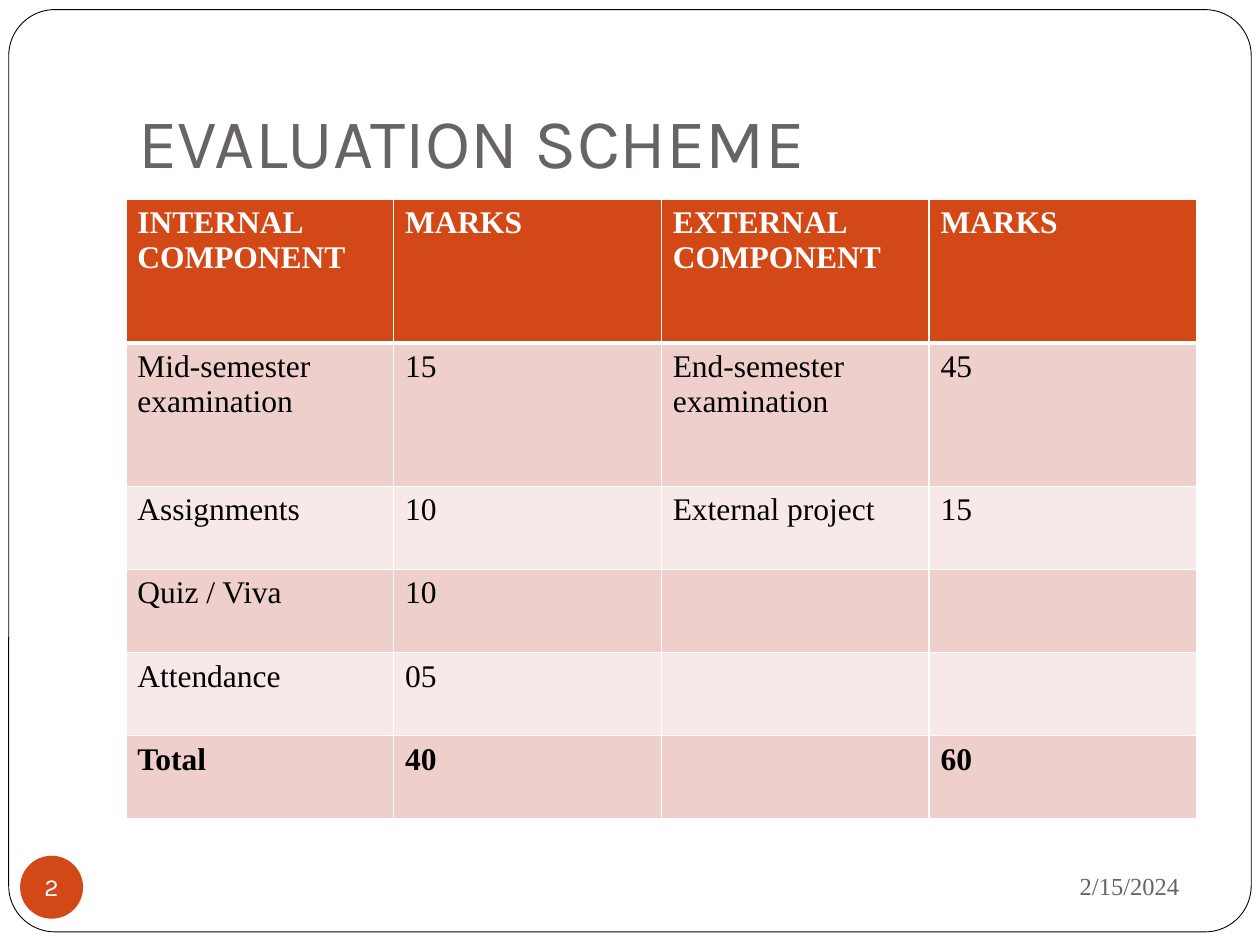
"""Build the evaluation scheme slide with its marks table."""
from lxml.etree import SubElement
from pptx import Presentation
from pptx.dml.color import RGBColor
from pptx.enum.shapes import MSO_SHAPE
from pptx.enum.text import MSO_ANCHOR, PP_ALIGN
from pptx.oxml.ns import qn
from pptx.util import Pt

WHITE = RGBColor(0xFF, 0xFF, 0xFF)
BLACK = RGBColor(0, 0, 0)
GREY = RGBColor(0x69, 0x64, 0x64)
ORANGE = RGBColor(0xD3, 0x48, 0x17)
ROSE = RGBColor(0xEF, 0xCF, 0xCC)
PALE_ROSE = RGBColor(0xF7, 0xE9, 0xE8)

MARKS = [
    ("INTERNAL COMPONENT", "MARKS", "EXTERNAL COMPONENT", "MARKS"),
    ("Mid-semester examination", "15", "End-semester examination", "45"),
    ("Assignments", "10", "External project", "15"),
    ("Quiz / Viva", "10", "", ""),
    ("Attendance", "05", "", ""),
    ("Total", "40", "", "60"),
]
ROW_HEIGHTS = [82, 82, 47.5, 47.5, 47.5, 47.5]


class SlideBuilder:
    """Hold the deck style and the current slide."""

    heading_font = "Karla"
    body_font = "Times New Roman"

    def __init__(self, deck):
        self.slide = deck.slides.add_slide(deck.slide_layouts[5])
        self.shapes = self.slide.shapes

    def add_text(self, frame, text, font, size, color, align=PP_ALIGN.LEFT, bold=False):
        paragraph = frame.paragraphs[0]
        paragraph.alignment = align
        run = paragraph.add_run()
        run.text = text
        run.font.name = font
        run.font.size = Pt(size)
        run.font.bold = bold
        run.font.color.rgb = color

    def set_insets(self, frame, left, top, right, bottom):
        frame.margin_left, frame.margin_top = Pt(left), Pt(top)
        frame.margin_right, frame.margin_bottom = Pt(right), Pt(bottom)

    def frame(self, left, top, width, height):
        border = self.shapes.add_shape(
            MSO_SHAPE.ROUNDED_RECTANGLE, Pt(left), Pt(top), Pt(width), Pt(height))
        border.adjustments[0] = 0.05
        border.shadow.inherit = False
        border.fill.solid()
        border.fill.fore_color.rgb = WHITE
        border.line.color.rgb = BLACK
        border.line.width = Pt(0.5)
        self.shapes.title._element.addprevious(border._element)

    def title(self, text, left, top, width, height):
        heading = self.shapes.title
        heading.left, heading.top = Pt(left), Pt(top)
        heading.width, heading.height = Pt(width), Pt(height)
        heading.text_frame.vertical_anchor = MSO_ANCHOR.BOTTOM
        self.set_insets(heading.text_frame, 7.2, 3.6, 7.2, 7.2)
        self.add_text(heading.text_frame, text, self.heading_font, 40, GREY)

    def date(self, text, left, top, width, height):
        box = self.shapes.add_textbox(Pt(left), Pt(top), Pt(width), Pt(height))
        box.text_frame.word_wrap = True
        box.text_frame.vertical_anchor = MSO_ANCHOR.MIDDLE
        self.add_text(box.text_frame, text, self.body_font, 14, GREY, PP_ALIGN.RIGHT)

    def page_badge(self, text, left, top, diameter):
        badge = self.shapes.add_shape(
            MSO_SHAPE.OVAL, Pt(left), Pt(top), Pt(diameter), Pt(diameter))
        badge.shadow.inherit = False
        badge.fill.solid()
        badge.fill.fore_color.rgb = ORANGE
        badge.line.fill.background()
        badge.text_frame.word_wrap = False
        badge.text_frame.vertical_anchor = MSO_ANCHOR.MIDDLE
        self.set_insets(badge.text_frame, 0, 0, 0, 0)
        self.add_text(badge.text_frame, text, self.heading_font, 14, WHITE, PP_ALIGN.CENTER)

    def cell_borders(self, cell, **widths):
        properties = cell._tc.get_or_add_tcPr()
        for side in "LRTB":
            line = SubElement(properties, qn(f"a:ln{side}"), w=str(Pt(widths.get(side, 1))))
            fill = SubElement(line, qn("a:solidFill"))
            SubElement(fill, qn("a:srgbClr"), val=str(WHITE))

    def table(self, rows, heights, left, top, width):
        grid = self.shapes.add_table(
            len(rows), len(rows[0]), Pt(left), Pt(top), Pt(width), Pt(sum(heights))).table
        for column in grid.columns:
            column.width = Pt(width / len(rows[0]))
        last = len(rows) - 1
        for index, (texts, height) in enumerate(zip(rows, heights)):
            grid.rows[index].height = Pt(height)
            header = index == 0
            band = ORANGE if header else ROSE if index % 2 else PALE_ROSE
            for column, text in enumerate(texts):
                cell = grid.cell(index, column)
                self.cell_borders(cell, T=3 if index == 1 else 1, B=3 if header else 1)
                cell.fill.solid()
                cell.fill.fore_color.rgb = band
                self.set_insets(cell, 6.5, 3.6, 6.5, 3.6)
                if text:
                    self.add_text(cell.text_frame, text, self.body_font, 18,
                                  WHITE if header else BLACK, bold=index in (0, last))


def main():
    deck = Presentation()
    deck.slide_width, deck.slide_height = Pt(720), Pt(540)
    builder = SlideBuilder(deck)
    builder.frame(5, 5.5, 710, 527)
    builder.title("EVALUATION SCHEME", 72, 21.6, 612, 90)
    builder.date("2/15/2024", 486, 487.5, 195, 37.5)
    builder.page_badge("2", 11.5, 489, 36)
    builder.table(MARKS, ROW_HEIGHTS, 72, 114, 612)
    deck.save("out.pptx")


if __name__ == "__main__":
    main()
